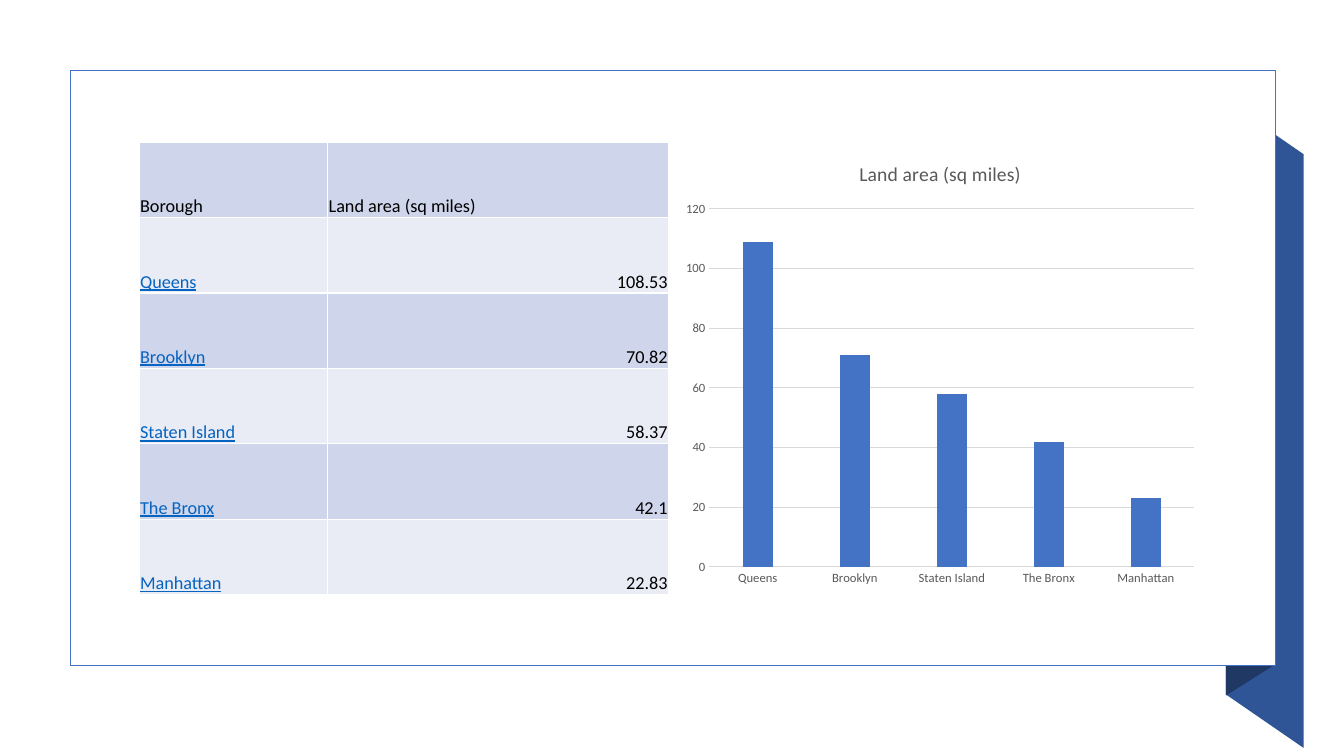
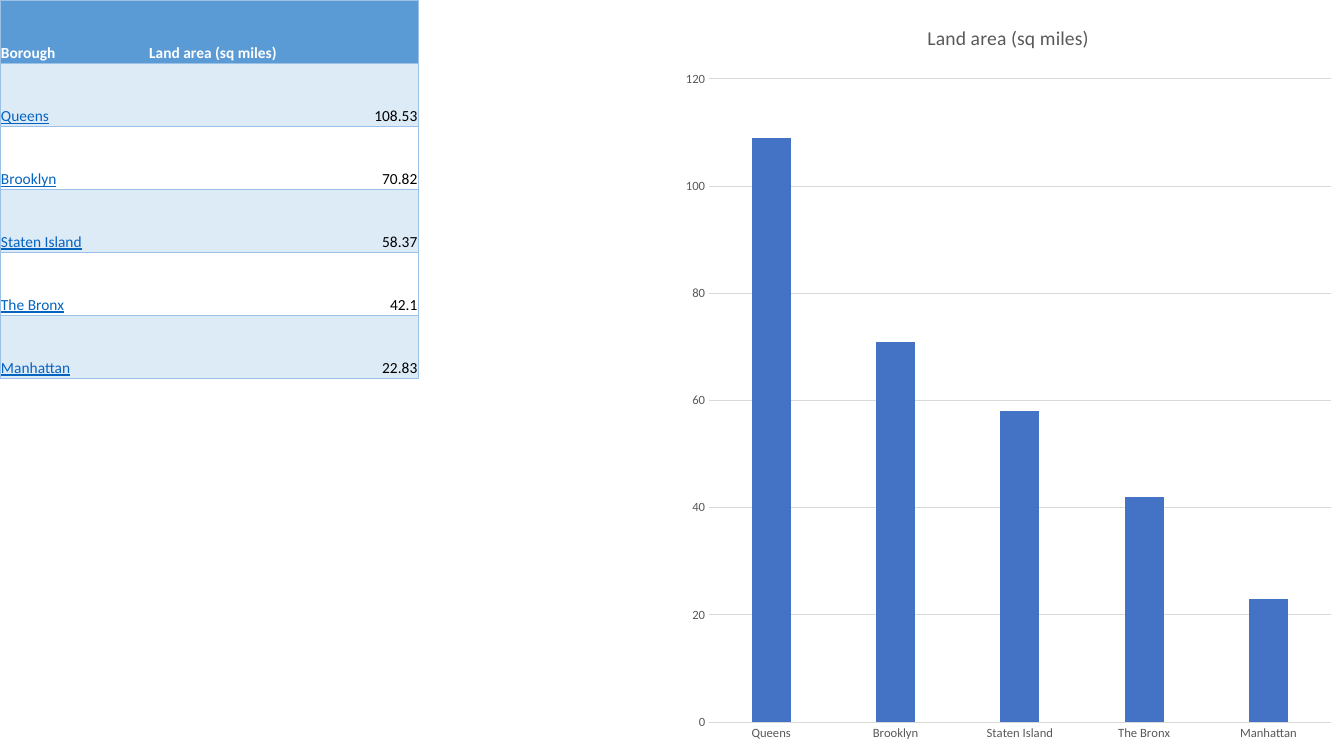
import pptx
import pptx.util
import pptx.chart.data
import pptx.dml.color
import pptx.enum.chart
import pptx.enum.shapes
import pptx.enum.text
import pptx.oxml
import pptx.oxml.ns

Inches = pptx.util.Inches
Pt = pptx.util.Pt

FONT = "Calibri"
COLORS = {
    "white": "FFFFFF", "black": "000000", "link": "0563C1", "blue": "4472C4",
    "ribbon": "2F5597", "fold": "203864", "gray": "595959", "grid": "D9D9D9",
    "band_dark": "CFD5EA", "band_light": "E9EBF5",
    "header": "5B9BD5", "band": "DDEBF7", "edge": "9BC2E6",
}
HEADINGS = ("Borough", "Land area (sq miles)")
BOROUGHS = [
    ("Queens", 108.53),
    ("Brooklyn", 70.82),
    ("Staten Island", 58.37),
    ("The Bronx", 42.1),
    ("Manhattan", 22.83),
]
FRAME = (0.7, 0.7, 11.95, 5.9)
RIBBONS = [
    ("ribbon", [(12.93, 7.42), (12.16, 6.89), (12.16, 1), (12.93, 1.53)]),
    ("fold", [(12.62, 6.61), (12.16, 6.9), (12.16, 1), (12.62, 0.7)]),
]
FRAMED_TABLE = {
    "place": (1.38, 1.41), "columns": (1.87, 3.38), "height": 4.49, "size": 13,
    "header": "band_dark", "header_text": "black", "bold": False,
    "bands": ("band_light", "band_dark"),
    "border": "white", "border_width": 1, "divider": True,
}
CORNER_TABLE = {
    "place": (0, 0), "columns": (1.47, 2.68), "height": 3.75, "size": 11,
    "header": "header", "header_text": "white", "bold": True,
    "bands": ("band", None),
    "border": "edge", "border_width": 0.5, "divider": False,
}
SLIDES = [
    {"framed": True, "table": FRAMED_TABLE, "chart": (6.7, 1.41, 5.25, 4.49)},
    {"framed": False, "table": CORNER_TABLE, "chart": (6.67, 0, 6.66, 7.5)},
]


def color(name):
    return pptx.dml.color.RGBColor.from_string(COLORS[name])


def paint(fill, name):
    if name:
        fill.solid()
        fill.fore_color.rgb = color(name)
    else:
        fill.background()


def style_font(font, size, name, bold=False):
    font.name = FONT
    font.size = Pt(size)
    font.bold = bold
    font.color.rgb = color(name)


def add_frame(page):
    for name, corners in RIBBONS:
        start, *others = [(Inches(x), Inches(y)) for x, y in corners]
        builder = page.shapes.build_freeform(*start)
        builder.add_line_segments(others, close=True)
        ribbon = builder.convert_to_shape()
        ribbon.shadow.inherit = False
        paint(ribbon.fill, name)
        ribbon.line.fill.background()
    frame = page.shapes.add_shape(
        pptx.enum.shapes.MSO_SHAPE.RECTANGLE, *map(Inches, FRAME))
    frame.shadow.inherit = False
    paint(frame.fill, "white")
    frame.line.color.rgb = color("blue")
    frame.line.width = Pt(1)


def set_borders(cell, column, look):
    hidden = None if look["divider"] else ("R" if column == 0 else "L")
    properties = cell._tc.get_or_add_tcPr()
    for side in "LRTB":
        fill = "<a:noFill/>"
        if side != hidden:
            fill = f'<a:solidFill><a:srgbClr val="{COLORS[look["border"]]}"/></a:solidFill>'
        properties.append(pptx.oxml.parse_xml(
            f'<a:ln{side} {pptx.oxml.ns.nsdecls("a")} w="{Pt(look["border_width"])}">'
            f'{fill}</a:ln{side}>'))


def add_borough_table(page, look):
    rows = [HEADINGS] + BOROUGHS
    left, top = look["place"]
    widths = look["columns"]
    table = page.shapes.add_table(
        len(rows), len(widths), Inches(left), Inches(top),
        Inches(sum(widths)), Inches(look["height"])).table
    table.first_row = False
    table.horz_banding = False
    for column, width in enumerate(widths):
        table.columns[column].width = Inches(width)
    for index, values in enumerate(rows):
        is_header = index == 0
        band = look["header"] if is_header else look["bands"][(index - 1) % 2]
        for column, value in enumerate(values):
            is_link = not is_header and column == 0
            cell = table.cell(index, column)
            cell.margin_left = cell.margin_top = cell.margin_right = Inches(0.01)
            cell.margin_bottom = 0
            cell.vertical_anchor = pptx.enum.text.MSO_ANCHOR.BOTTOM
            set_borders(cell, column, look)
            paint(cell.fill, band)
            para = cell.text_frame.paragraphs[0]
            para.text = str(value)
            if not is_header and column == 1:
                para.alignment = pptx.enum.text.PP_ALIGN.RIGHT
            font = para.runs[0].font
            text_color = look["header_text"] if is_header else "link" if is_link else "black"
            style_font(font, look["size"], text_color, is_header and look["bold"])
            font.underline = is_link


def add_area_chart(page, place):
    data = pptx.chart.data.CategoryChartData()
    names, areas = zip(*BOROUGHS)
    data.categories = names
    data.add_series(HEADINGS[1], [round(area) for area in areas])
    chart = page.shapes.add_chart(
        pptx.enum.chart.XL_CHART_TYPE.COLUMN_CLUSTERED, *map(Inches, place), data).chart
    style_font(chart.font, 10, "black")
    chart.has_legend = False
    chart.has_title = True
    title = chart.chart_title
    title.include_in_layout = False
    title.text_frame.text = HEADINGS[1]
    style_font(title.text_frame.paragraphs[0].runs[0].font, 14, "gray")

    plot = chart.plots[0]
    plot.gap_width = 219
    plot.overlap = -27
    plot.vary_by_categories = False
    paint(plot.series[0].format.fill, "blue")

    for axis in (chart.category_axis, chart.value_axis):
        axis.major_tick_mark = axis.minor_tick_mark = pptx.enum.chart.XL_TICK_MARK.NONE
        style_font(axis.tick_labels.font, 9, "gray")
    chart.value_axis.minimum_scale = 0
    chart.value_axis.maximum_scale = 120
    chart.value_axis.major_unit = 20
    chart.value_axis.format.line.fill.background()
    for rule in (chart.category_axis.format.line,
                 chart.value_axis.major_gridlines.format.line):
        rule.color.rgb = color("grid")
        rule.width = Pt(0.75)


deck = pptx.Presentation()
deck.slide_width = Inches(13.33)
deck.slide_height = Inches(7.5)
for content in SLIDES:
    page = deck.slides.add_slide(deck.slide_layouts[6])
    if content["framed"]:
        add_frame(page)
    add_borough_table(page, content["table"])
    add_area_chart(page, content["chart"])
deck.save("out.pptx")
